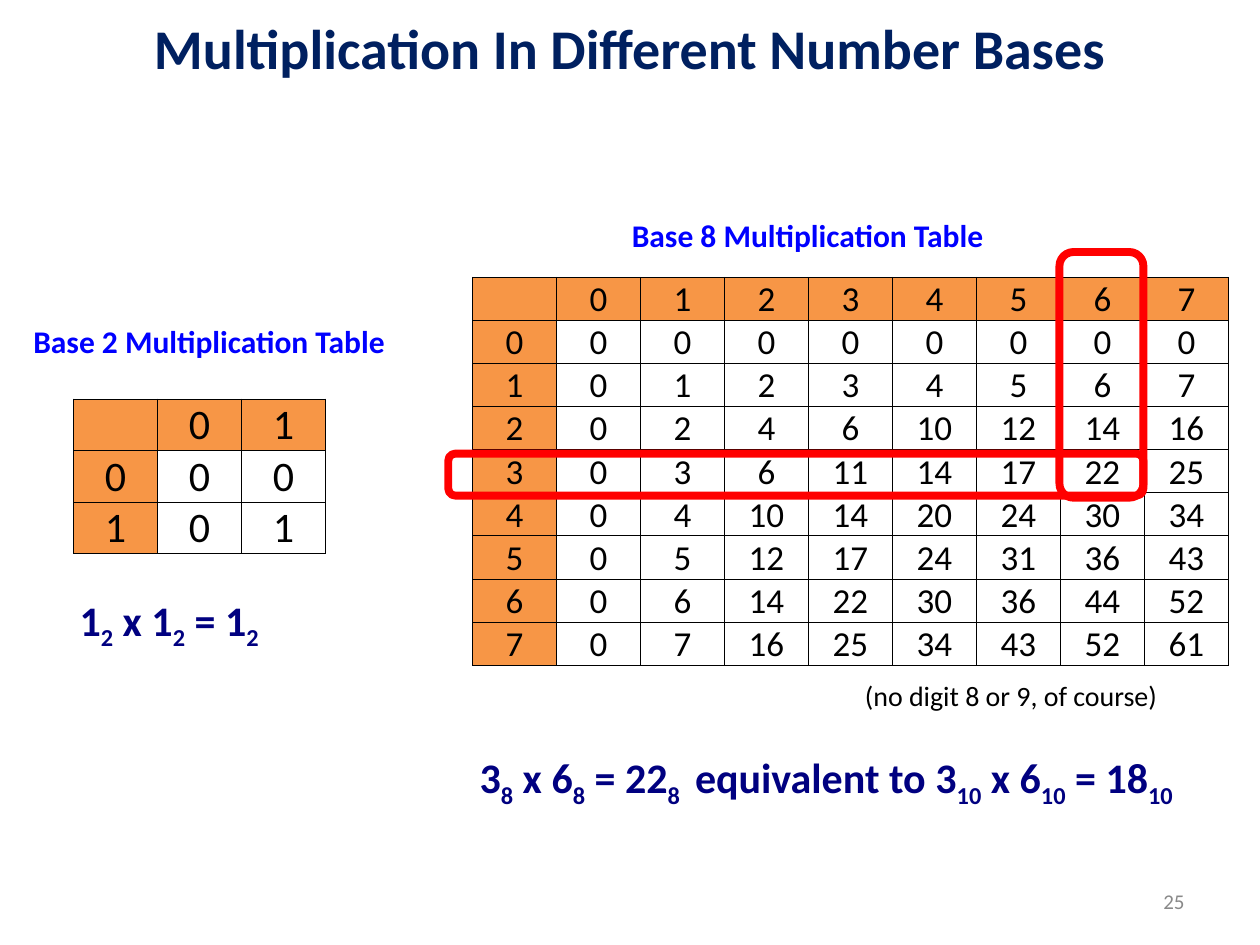
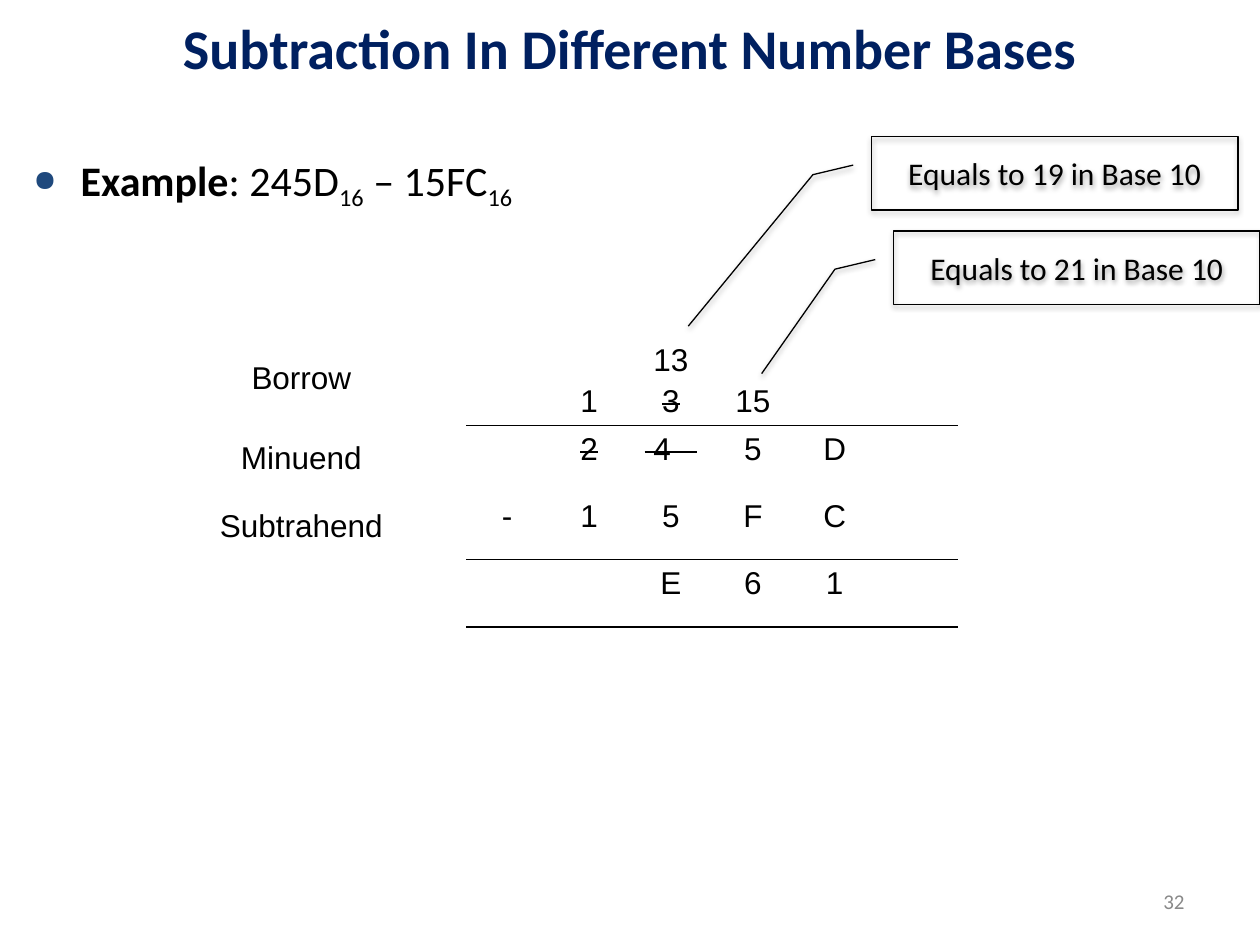
from dataclasses import dataclass, replace
from typing import NamedTuple

from lxml import etree
from pptx import Presentation
from pptx import util as u
from pptx.dml.color import RGBColor
from pptx.enum import shapes, text
from pptx.oxml import ns

SCALE = 7620  # EMU in one px, 120 px to the inch

BLACK, NAVY, BLUE = "000000", "002060", "0000FF"
INK, GREY, ORANGE, RED = "000080", "898989", "F79646", "FF0000"
BULLET = "1F497D"
LEFT, MID, RIGHT = text.PP_ALIGN.LEFT, text.PP_ALIGN.CENTER, text.PP_ALIGN.RIGHT
TOP, CENTER, BOTTOM = (text.MSO_ANCHOR.TOP, text.MSO_ANCHOR.MIDDLE,
                       text.MSO_ANCHOR.BOTTOM)
PLAIN_TABLE = "{2D5ABB26-0587-4C30-8999-92F81FD0307C}"
SIDES = ("L", "R", "T", "B")


class Box(NamedTuple):
    x: int
    y: int
    w: int
    h: int

    def emu(self) -> list:
        return [px(n) for n in self]


class Run(NamedTuple):
    text: str
    sub: bool = False
    bold: bool = False
    strike: bool = False


@dataclass(frozen=True)
class Style:
    size: int
    hue: str = BLACK
    bold: bool = False
    align: int = LEFT
    font: str = "Calibri"


@dataclass(frozen=True)
class Label:
    box: Box
    style: Style
    runs: list
    anchor: int = TOP
    wrap: bool = True


@dataclass(frozen=True)
class Times:
    """Multiplication table of one number base."""
    x: int
    y: int
    base: int
    code: str
    row: int
    size: int
    anchor: int


@dataclass(frozen=True)
class Callout:
    box: Box
    text: str
    tip: tuple


TITLE = Style(32, NAVY, True, MID)
PAGE = Style(12, GREY, align=RIGHT)
HEAD = Style(18, BLUE, True)
SUM = Style(24, INK, True)
NOTE = Style(16)
BODY = Style(24)
CALL = Style(18, align=MID)
DIGIT = Style(18, align=MID, font="Arial")


def px(n: int) -> u.Emu:
    return u.Emu(n * SCALE)


def color(code: str) -> RGBColor:
    return RGBColor.from_string(code)


def node(up, tag: str, **attrs):
    return etree.SubElement(up, ns.qn(tag), {k: str(v) for k, v in attrs.items()})


def mix(*parts: str) -> list:
    """Runs that switch between the base line and subscript."""
    return [Run(part, sub=i % 2 == 1) for i, part in enumerate(parts)]


def write(para, runs: list, style: Style) -> None:
    para.alignment = style.align
    for item in runs:
        run = para.add_run()
        run.text = item.text
        font = run.font
        font.name, font.size = style.font, u.Pt(style.size)
        font.bold = style.bold or item.bold
        font.color.rgb = color(style.hue)
        props = run._r.get_or_add_rPr()
        if item.sub:
            props.set("baseline", "-25000")
        if item.strike:
            props.set("strike", "sngStrike")


def add_label(slide, label: Label):
    frame = slide.shapes.add_textbox(*label.box.emu()).text_frame
    frame.word_wrap = label.wrap
    frame.vertical_anchor = label.anchor
    write(frame.paragraphs[0], label.runs, label.style)
    return frame.paragraphs[0]


def add_bullet(para) -> None:
    props = para._p.get_or_add_pPr()
    props.set("marL", str(px(45)))
    props.set("indent", str(px(-45)))
    para.line_spacing = 1.2
    node(node(props, "a:buClr"), "a:srgbClr", val=BULLET)
    node(props, "a:buSzPct", val=70000)
    node(props, "a:buChar", char="●")


def add_grid(slide, x: int, y: int, cols: list, rows: list):
    box = Box(x, y, sum(cols), sum(rows))
    table = slide.shapes.add_table(len(rows), len(cols), *box.emu()).table
    table.first_row = table.horz_banding = False
    table._tbl.tblPr.find(ns.qn("a:tableStyleId")).text = PLAIN_TABLE
    for col, wide in zip(table.columns, cols):
        col.width = px(wide)
    for row, high in zip(table.rows, rows):
        row.height = px(high)
    return table


def edge(cell, sides, width: float) -> None:
    """Draw the named cell sides and clear the others."""
    props = cell._tc.get_or_add_tcPr()
    for side in SIDES:
        line = node(props, f"a:ln{side}", w=u.Pt(width))
        if side in sides:
            node(node(line, "a:solidFill"), "a:srgbClr", val=BLACK)
        else:
            node(line, "a:noFill")


def paint(cell, hue: str = "") -> None:
    if hue:
        cell.fill.solid()
        cell.fill.fore_color.rgb = color(hue)
    else:
        cell.fill.background()


def add_times(slide, spec_: Times) -> None:
    count = spec_.base + 1
    table = add_grid(slide, spec_.x, spec_.y, [80] * count, [spec_.row] * count)
    style = Style(spec_.size, align=MID)
    for r in range(count):
        for c in range(count):
            cell = table.cell(r, c)
            head = r == 0 or c == 0
            edge(cell, SIDES, 0.5)
            paint(cell, ORANGE if head else "")
            cell.margin_left = cell.margin_right = cell.margin_top = px(1)
            cell.margin_bottom = 0
            cell.vertical_anchor = CENTER if head else spec_.anchor
            if r or c:
                value = r + c - 1 if head else (r - 1) * (c - 1)
                write(cell.text_frame.paragraphs[0],
                      [Run(format(value, spec_.code))], style)


def add_ring(slide, box: Box) -> None:
    ring = slide.shapes.add_shape(shapes.MSO_SHAPE.ROUNDED_RECTANGLE, *box.emu())
    ring.shadow.inherit = False
    ring.fill.background()
    ring.line.color.rgb = color(RED)
    ring.line.width = u.Pt(4.5)


def add_callout(slide, call: Callout) -> None:
    shape = slide.shapes.add_shape(shapes.MSO_SHAPE.LINE_CALLOUT_2, *call.box.emu())
    for i, value in enumerate((0.39, -0.05, 0.52, -0.16) + call.tip):
        shape.adjustments[i] = value
    shape.fill.background()
    shape.line.color.rgb = color(BLACK)
    shape.line.width = u.Pt(0.75)
    shape.shadow.inherit = False
    glow = node(shape._element.spPr.find(ns.qn("a:effectLst")), "a:outerShdw",
                blurRad=u.Pt(3.1), dist=u.Pt(1.6), dir=5400000, rotWithShape=0)
    node(node(glow, "a:srgbClr", val=BLACK), "a:alpha", val=38000)
    frame = shape.text_frame
    frame.word_wrap = True
    frame.vertical_anchor = CENTER
    write(frame.paragraphs[0], [Run(call.text)], CALL)


def add_borrow(slide) -> None:
    """Written subtraction with its borrow row."""
    struck = [[Run("13")], [Run("3", strike=True)]]
    rows = [
        ["Borrow", "", "1", struck, "15", "", ""],
        ["Minuend", "", [[Run("2", strike=True)]],
         [[Run(" 4   ", strike=True)]], "5", "D", ""],
        ["Subtrahend", "-", "1", "5", "F", "C", ""],
        ["", "", "", "E", "6", "1", ""],
    ]
    table = add_grid(slide, 130, 316, [314] + [78] * 6, [84, 64, 64, 64])
    lines = ["B", "T", "B", "TB"]
    for r, row in enumerate(rows):
        for c, item in enumerate(row):
            cell = table.cell(r, c)
            edge(cell, lines[r] if c else "", 1)
            paint(cell)
            cell.vertical_anchor = CENTER if c == 0 else TOP if r else BOTTOM
            if not item:
                continue
            paras = [[Run(item)]] if isinstance(item, str) else item
            frame = cell.text_frame
            for i, runs in enumerate(paras):
                para = frame.add_paragraph() if i else frame.paragraphs[0]
                if i:
                    para.space_before = u.Pt(3)
                write(para, runs, DIGIT)


def add_page(deck, title: str, page: int):
    slide = deck.slides.add_slide(deck.slide_layouts[6])
    add_label(slide, Label(Box(0, 0, 1200, 90), TITLE, [Run(title)], CENTER))
    add_label(slide, Label(Box(860, 834, 280, 48), PAGE, [Run(str(page))], CENTER))
    return slide


def add_product(deck) -> None:
    slide = add_page(deck, "Multiplication In Different Number Bases", 25)
    labels = [
        Label(Box(20, 301, 360, 48), HEAD,
              [Run("Base 2 Multiplication Table")], wrap=False),
        Label(Box(590, 200, 360, 48), HEAD,
              [Run("Base 8 Multiplication Table")], wrap=False),
        Label(Box(445, 710, 727, 61), SUM,
              mix("3", "8", " x 6", "8", " = 22", "8 ", " equivalent to 3", "10",
                  " x 6", "10", " = 18", "10")),
        Label(Box(812, 640, 360, 44), NOTE, [Run("(no digit 8 or 9, of course)")]),
        Label(Box(64, 560, 310, 60), SUM,
              mix("1", "2", " x 1", "2", " = 1", "2")),
    ]
    for label in labels:
        add_label(slide, label)
    add_times(slide, Times(450, 264, 8, "o", 41, 20, BOTTOM))
    add_times(slide, Times(70, 380, 2, "b", 49, 24, CENTER))
    for box in (Box(427, 432, 662, 40), Box(1009, 240, 80, 234)):
        add_ring(slide, box)


def add_minus(deck) -> None:
    slide = add_page(deck, "Subtraction In Different Number Bases", 32)
    runs = [Run("Example", bold=True)] + mix(": 245D", "16", " – 15FC", "16")
    add_bullet(add_label(slide, Label(Box(20, 130, 1170, 220), replace(BODY), runs)))
    add_borrow(slide)
    calls = [
        Callout(Box(851, 220, 349, 70), "Equals to 21 in Base 10", (1.94, -0.36)),
        Callout(Box(830, 130, 349, 70), "Equals to 19 in Base 10", (2.58, -0.5)),
    ]
    for call in calls:
        add_callout(slide, call)


def main() -> None:
    deck = Presentation()
    deck.slide_width, deck.slide_height = px(1200), px(900)
    add_product(deck)
    add_minus(deck)
    deck.save("out.pptx")


if __name__ == "__main__":
    main()
